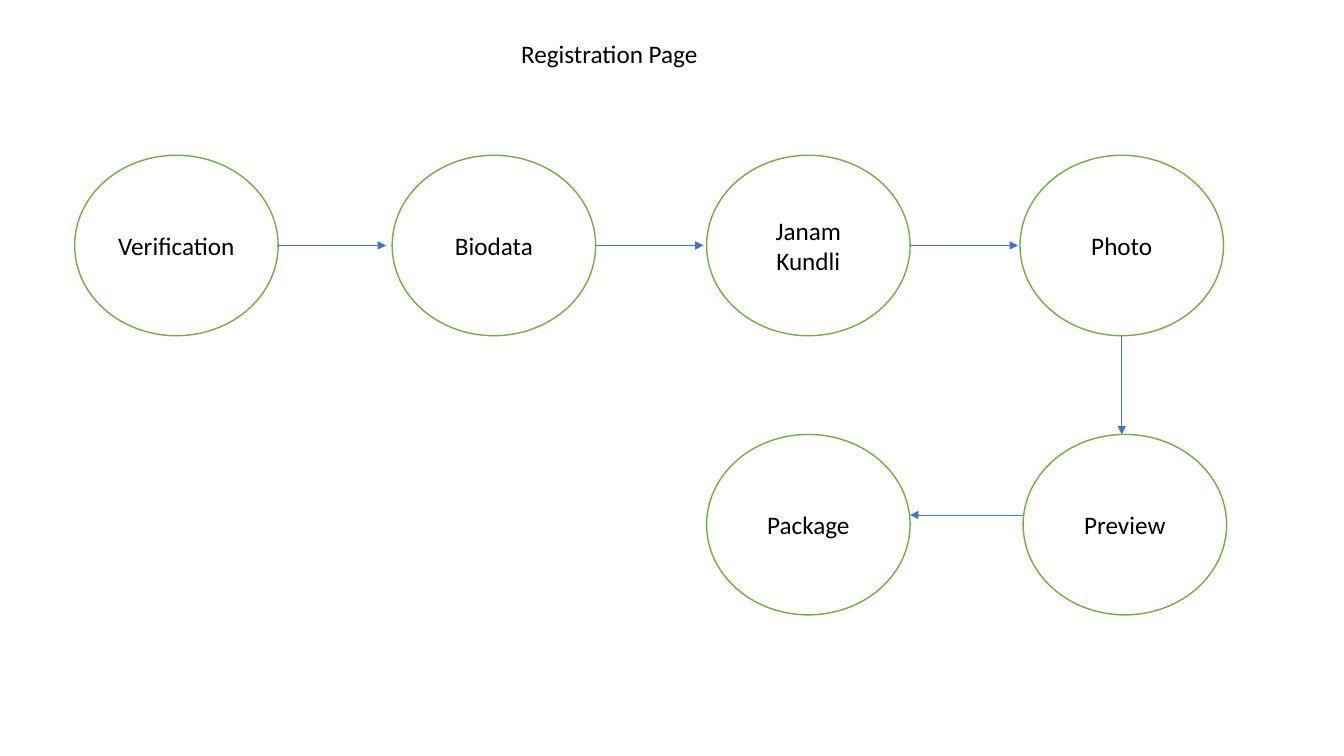
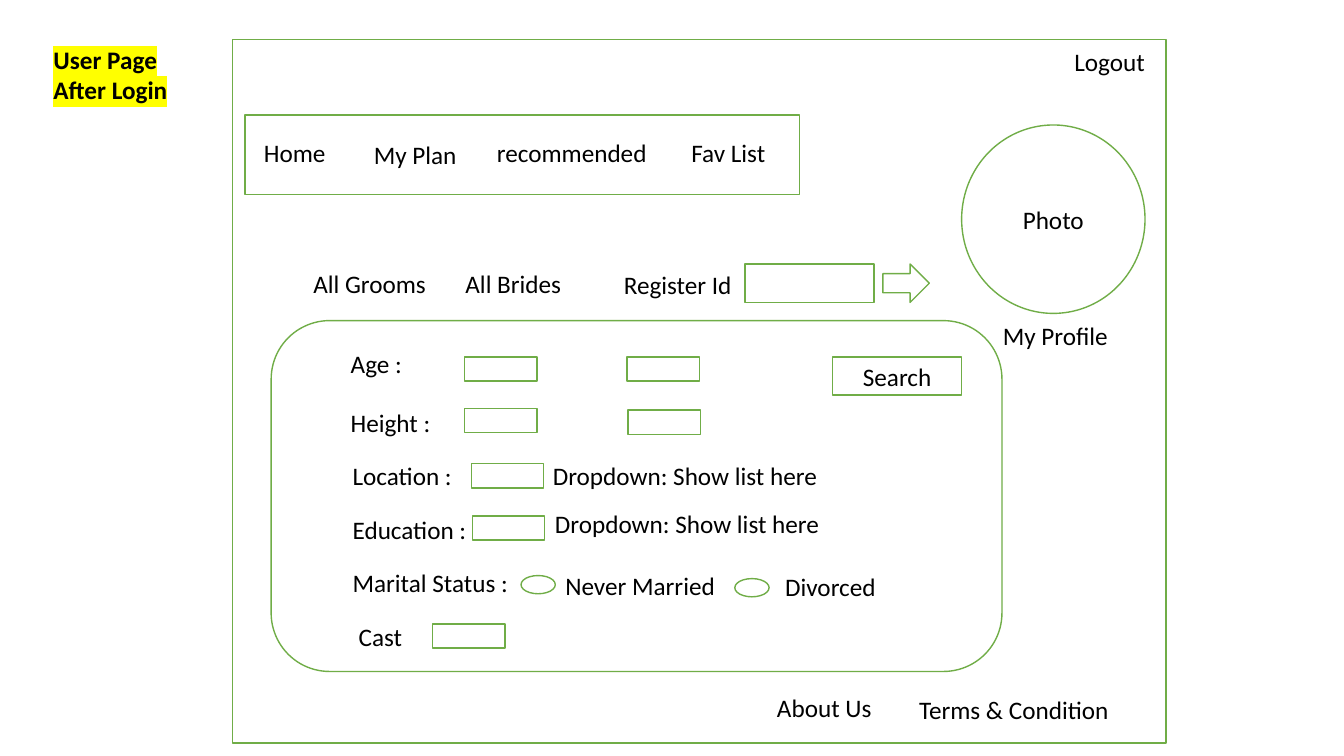
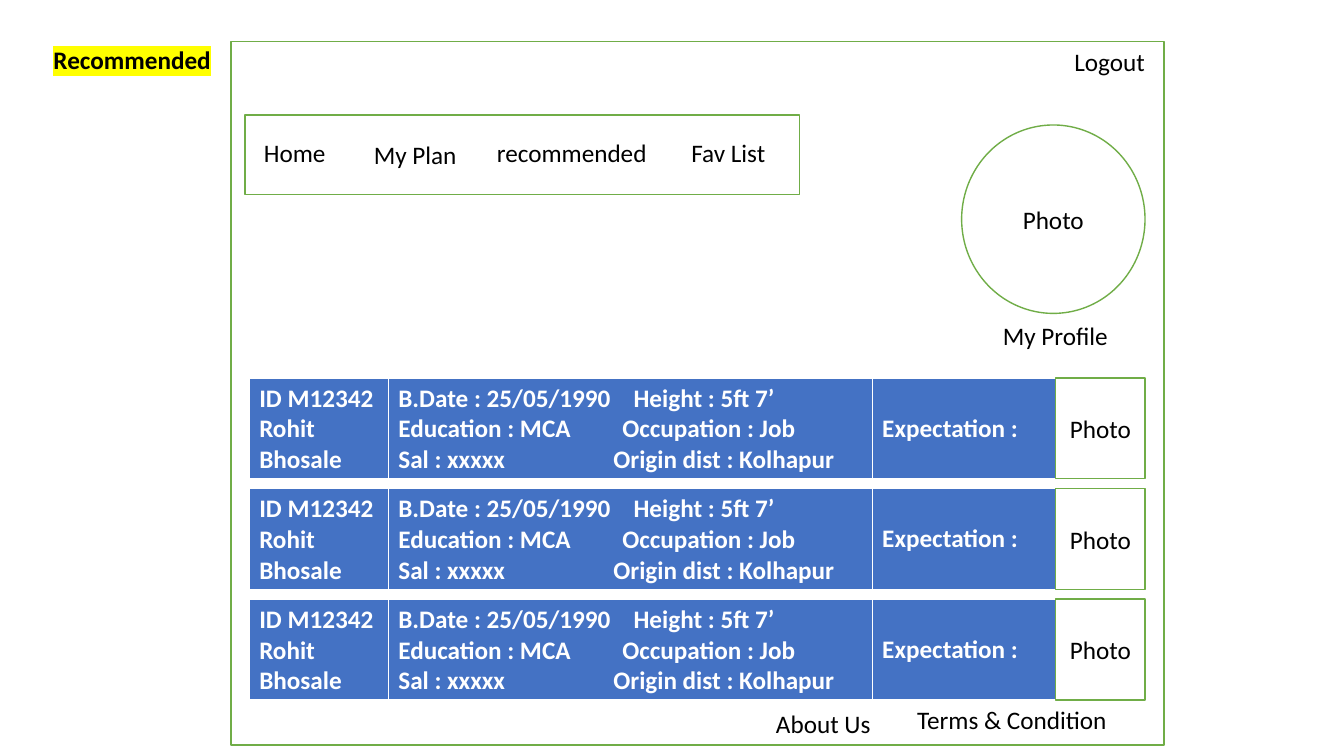
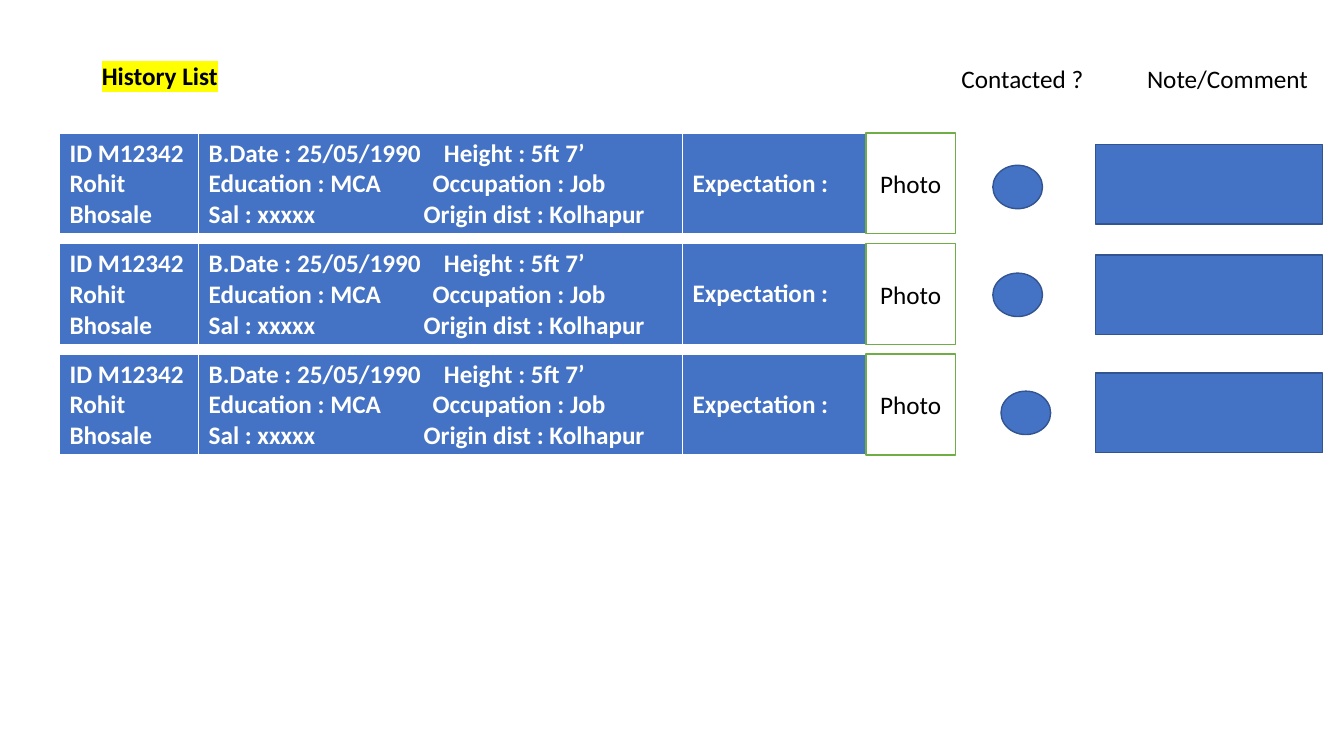
from pptx import Presentation
from pptx.dml.color import RGBColor
from pptx.enum import shapes, text
from pptx.oxml import ns
from pptx.util import Pt
from lxml import etree

BLACK = RGBColor(0x00, 0x00, 0x00)
WHITE = RGBColor(0xFF, 0xFF, 0xFF)
GREEN = RGBColor(0x70, 0xAD, 0x47)
BLUE = RGBColor(0x44, 0x72, 0xC4)
NAVY = RGBColor(0x32, 0x54, 0x91)
YELLOW = RGBColor(0xFF, 0xFF, 0x00)
FONT, SIZE = "Calibri", 18
LABEL_H = 29

RECT = shapes.MSO_SHAPE.RECTANGLE
OVAL = shapes.MSO_SHAPE.OVAL
ROUNDED = shapes.MSO_SHAPE.ROUNDED_RECTANGLE
BLOCK_ARROW = shapes.MSO_SHAPE.RIGHT_ARROW

# Registration flow: name, left, top
STEP_W, STEP_H = 145.4, 128.9
STEPS = [
    ("Verification", 53.3, 110.9),
    ("Biodata", 280.1, 110.9),
    ("Janam Kundli", 504.7, 110.9),
    ("Photo", 728.6, 110.9),
    ("Preview", 730.8, 310.3),
    ("Package", 504.7, 310.3),
]
ARROW_LENGTH = 77
RETURN_Y = 367.9

# Labels: wording, left, top, width
NAVIGATION = [
    ("Home", 181.4, 94.3, 59),
    ("My Plan", 259.9, 95.8, 74.2),
    ("recommended", 347.8, 94.3, 123.1),
    ("Fav List", 486.7, 94.3, 68),
]
ACCOUNT = [
    ("My Profile", 709.2, 225.4, 90),
    ("Logout", 760.3, 29.5, 65.5),
]
USER_FOOTER = [
    ("About Us", 547.9, 491, 82.8),
    ("Terms & Condition", 649.4, 492.5, 151.2),
]
RECOMMENDED_FOOTER = [
    ("About Us", 547.2, 502.6, 82.8),
    ("Terms & Condition", 648, 499.7, 151.2),
]
SEARCH_LABELS = [
    ("All Grooms", 216.7, 187.9, 95.8),
    ("All Brides", 325.4, 187.9, 83.5),
    ("Register Id", 438.5, 188.6, 92.2),
    ("Age :", 243.4, 245.5, 51.8),
    ("Height :", 243.4, 287.3, 72),
    ("Location :", 244.8, 325.4, 86),
    ("Education :", 244.8, 363.6, 97.2),
    ("Marital Status :", 244.8, 401.8, 126.7),
    ("Cast", 249.1, 439.9, 46.1),
    ("Dropdown: Show list here", 387.8, 325.4, 209.5),
    ("Dropdown: Show list here", 389.3, 359.3, 209.5),
    ("Never Married", 396.7, 403.9, 121.3),
    ("Divorced", 553.7, 404.6, 79),
]
FIELDS = [(331.9, 254.9), (447.8, 254.9), (331.9, 291.6), (448.6, 293),
          (336.6, 331.2), (337.3, 368.6), (308.9, 445.7)]
OPTIONS = [(372.2, 411.1), (524.9, 413.3)]

# Profile card: each detail line has its own tab position
PERSON = ["ID M12342", "Rohit Bhosale"]
DETAILS = [
    ("B.Date : 25/05/1990", "Height : 5ft 7’", 168),
    ("Education : MCA", "Occupation : Job", 160),
    ("Sal : xxxxx", "Origin dist : Kolhapur", 153.5),
]
EXPECTATION = "Expectation :"
CARD_COLUMNS = (99.4, 345.6, 195)
CARD_COUNT, CARD_H, CARD_PITCH = 3, 72, 79
CARD_PHOTO_W = 64

HISTORY_HEADINGS = [
    ("Contacted ?", 679.7, 41.8, 103),
    ("Note/Comment", 812.2, 41.8, 131),
]
CONTACT_MARKS = [(709.2, 118.1), (709.2, 195.1), (715, 279.4)]
NOTE_X, NOTE_TOPS = 782.6, (103, 182.2, 266.4)


def style(frame, color=BLACK, bold=False, align=text.PP_ALIGN.LEFT):
    """Apply the deck's typeface to every run of a text frame."""
    for paragraph in frame.paragraphs:
        paragraph.alignment = align
        for run in paragraph.runs:
            run.font.size = Pt(SIZE)
            run.font.bold = bold
            run.font.color.rgb = color
            run.font.name = FONT


def fit(frame):
    """Let a single-purpose text frame hug its text."""
    frame.word_wrap = False
    frame.auto_size = text.MSO_AUTO_SIZE.SHAPE_TO_FIT_TEXT
    frame.vertical_anchor = text.MSO_ANCHOR.TOP


def highlight(run):
    """Mark a run in yellow."""
    mark = etree.Element(ns.qn("a:highlight"))
    etree.SubElement(mark, ns.qn("a:srgbClr"), val=str(YELLOW))
    run.font._element.find(ns.qn("a:latin")).addprevious(mark)


def new_slide(title, left, top, width, marked=True):
    """Add a slide and place its title, bold and highlighted when marked."""
    slide = deck.slides.add_slide(deck.slide_layouts[5])
    heading = slide.shapes.title
    frame = heading.text_frame
    frame.text = title
    heading.left, heading.top, heading.width = Pt(left), Pt(top), Pt(width)
    heading.height = Pt(LABEL_H + 22 * (len(frame.paragraphs) - 1))
    fit(frame)
    style(frame, bold=marked)
    if marked:
        for paragraph in frame.paragraphs:
            for run in paragraph.runs:
                highlight(run)
    return slide


def add_labels(slide, labels):
    """Add plain text labels."""
    for wording, left, top, width in labels:
        frame = slide.shapes.add_textbox(
            Pt(left), Pt(top), Pt(width), Pt(LABEL_H)).text_frame
        frame.text = wording
        fit(frame)
        style(frame)


def add_box(slide, kind, left, top, width, height, wording="",
            fill=WHITE, line=GREEN):
    """Add an outlined shape with optional centred text."""
    box = slide.shapes.add_shape(kind, Pt(left), Pt(top), Pt(width), Pt(height))
    box.shadow.inherit = False
    box.fill.solid()
    box.fill.fore_color.rgb = fill
    box.line.color.rgb = line
    box.line.width = Pt(1)
    if wording:
        box.text_frame.text = wording
        box.text_frame.vertical_anchor = text.MSO_ANCHOR.MIDDLE
        style(box.text_frame, align=text.PP_ALIGN.CENTER)


def add_arrow(slide, x1, y1, x2, y2):
    """Add a thin arrow pointing at the second point."""
    arrow = slide.shapes.add_connector(
        shapes.MSO_CONNECTOR.STRAIGHT, Pt(x1), Pt(y1), Pt(x2), Pt(y2))
    arrow.line.color.rgb = BLUE
    arrow.line.width = Pt(0.5)
    etree.SubElement(arrow.line._get_or_add_ln(), ns.qn("a:tailEnd"),
                     type="triangle")
    etree.SubElement(arrow._element.spPr, ns.qn("a:effectLst"))


def add_site_page(slide, left, top, footer):
    """Draw the page frame, navigation, profile photo and footer."""
    add_box(slide, RECT, left, top, 666.7, 502.6)
    add_box(slide, OVAL, 686.9, 89.3, 131, 134.6, "Photo")
    add_box(slide, RECT, 175, 82.1, 396, 56.9)
    add_labels(slide, NAVIGATION + ACCOUNT + footer)


def add_tab_stop(paragraph, position):
    """Give a paragraph one left tab stop."""
    stops = etree.SubElement(paragraph._p.get_or_add_pPr(), ns.qn("a:tabLst"))
    etree.SubElement(stops, ns.qn("a:tab"), pos=str(Pt(position)), algn="l")


def add_cards(slide, left, top):
    """Stack the profile cards, each a one-row table with a photo box."""
    width = sum(CARD_COLUMNS)
    contents = ["\n".join(PERSON),
                "\n".join(f"{first}\t{second}" for first, second, _ in DETAILS),
                EXPECTATION]
    for index in range(CARD_COUNT):
        y = top + index * CARD_PITCH
        card = slide.shapes.add_table(
            1, len(CARD_COLUMNS), Pt(left), Pt(y), Pt(width), Pt(CARD_H)).table
        for column, column_width in enumerate(CARD_COLUMNS):
            card.columns[column].width = Pt(column_width)
            cell = card.cell(0, column)
            cell.fill.solid()
            cell.fill.fore_color.rgb = BLUE
            cell.text_frame.text = contents[column]
            style(cell.text_frame, WHITE, bold=True)
        card.cell(0, 2).vertical_anchor = text.MSO_ANCHOR.MIDDLE
        lines = card.cell(0, 1).text_frame.paragraphs
        for paragraph, (_, _, position) in zip(lines, DETAILS):
            add_tab_stop(paragraph, position)
        add_box(slide, RECT, left + width - CARD_PHOTO_W, y,
                CARD_PHOTO_W, CARD_H, "Photo")


def build_registration():
    """Build the registration flow."""
    slide = new_slide("Registration Page", 365, 23.8, 141.8, marked=False)
    for name, left, top in STEPS:
        add_box(slide, OVAL, left, top, STEP_W, STEP_H, name)
    for _, left, top in STEPS[:3]:
        start, middle = left + STEP_W, top + STEP_H / 2
        add_arrow(slide, start, middle, start + ARROW_LENGTH, middle)
    (_, photo_x, photo_y), (_, preview_x, preview_y), (_, package_x, _) = STEPS[3:]
    centre = photo_x + STEP_W / 2
    add_arrow(slide, centre, photo_y + STEP_H, centre, preview_y)
    add_arrow(slide, preview_x, RETURN_Y, package_x + STEP_W, RETURN_Y)


def build_user_page():
    """Build the search page shown after login."""
    slide = new_slide("User Page\nAfter Login", 31, 28.1, 97.2)
    add_site_page(slide, 166.3, 28.1, USER_FOOTER)
    add_box(slide, ROUNDED, 193.7, 229, 522, 250.6)
    add_box(slide, RECT, 532.1, 188.6, 92.2, 27.4)
    add_box(slide, BLOCK_ARROW, 630.7, 188.6, 33.1, 27.4)
    add_box(slide, RECT, 594.7, 254.9, 92.2, 27.4, "Search")
    for left, top in FIELDS:
        add_box(slide, RECT, left, top, 51.8, 17.3)
    for left, top in OPTIONS:
        add_box(slide, OVAL, left, top, 24.5, 13)
    add_labels(slide, SEARCH_LABELS)


def build_recommended():
    """Build the page of recommended profiles."""
    slide = new_slide("Recommended", 31, 28.1, 127.4)
    add_site_page(slide, 164.9, 29.5, RECOMMENDED_FOOTER)
    add_cards(slide, 178, 270)


def build_history():
    """Build the contact history list."""
    slide = new_slide("History List", 65.5, 39.2, 97.9)
    add_cards(slide, 42.5, 95)
    for top in NOTE_TOPS:
        add_box(slide, RECT, NOTE_X, top, 162, 56.9, fill=BLUE, line=NAVY)
    for left, top in CONTACT_MARKS:
        add_box(slide, OVAL, left, top, 35.5, 31, fill=BLUE, line=NAVY)
    add_labels(slide, HISTORY_HEADINGS)


deck = Presentation()
deck.slide_width, deck.slide_height = Pt(960), Pt(540)
build_registration()
build_user_page()
build_recommended()
build_history()
deck.save("out.pptx")
